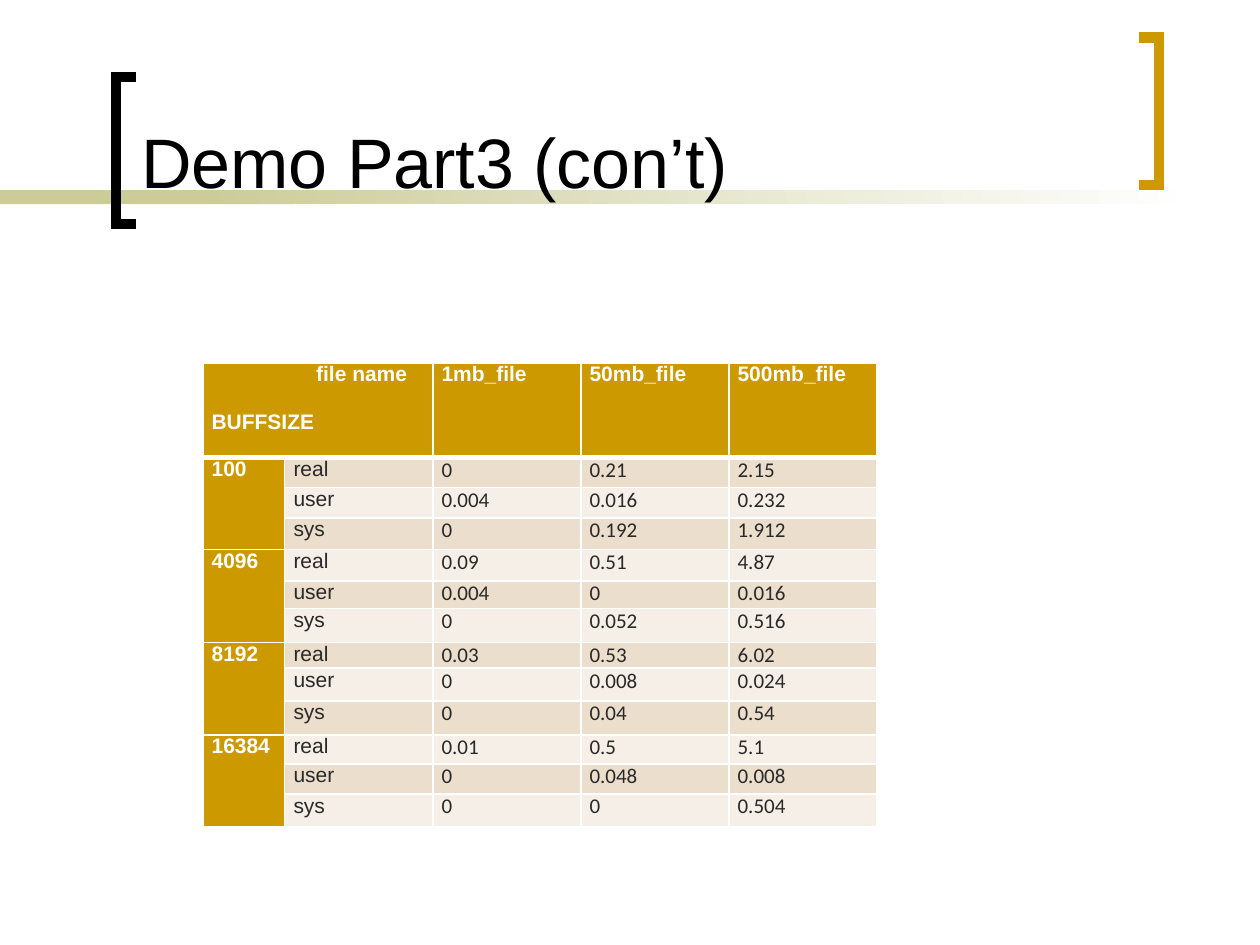
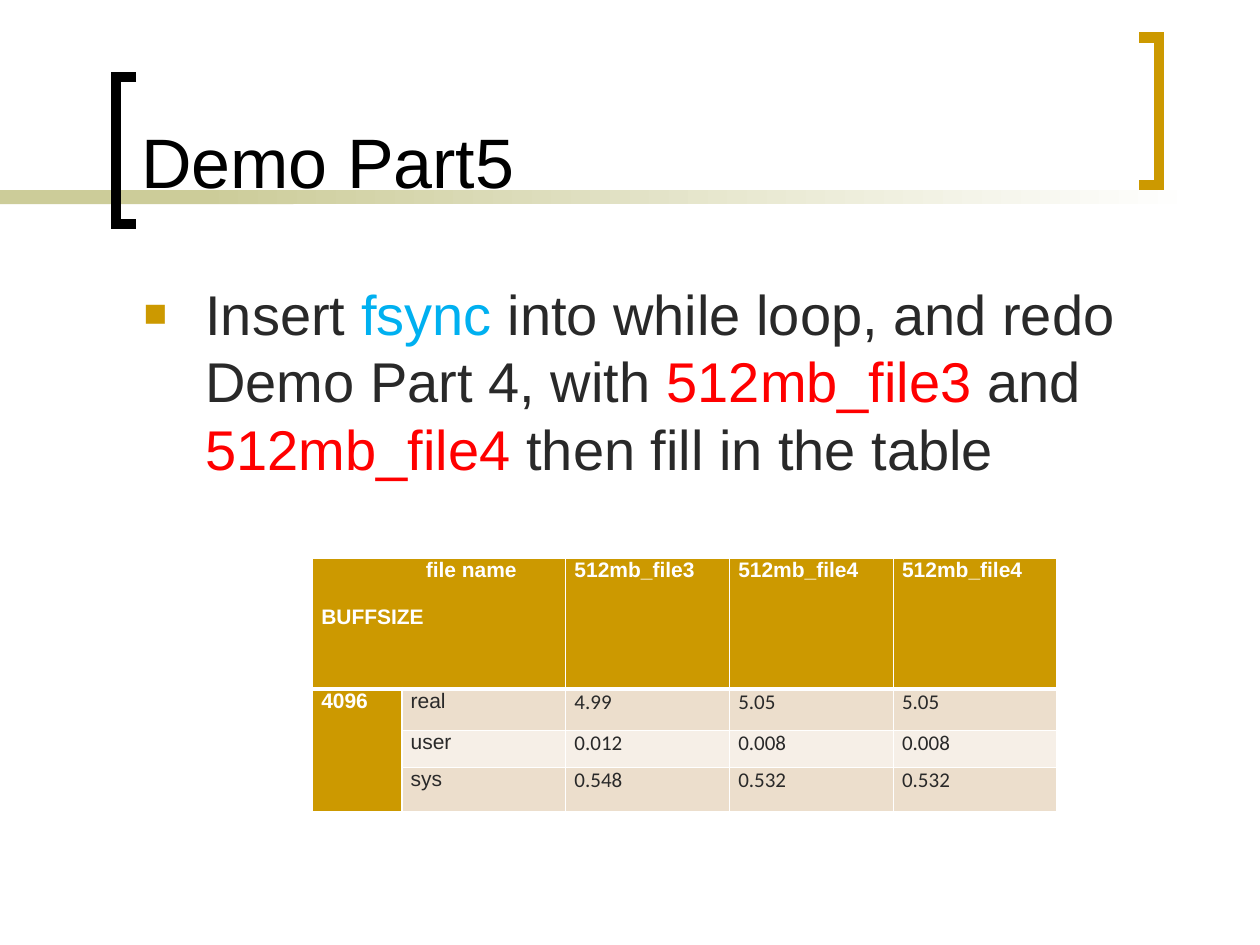
from lxml import etree
from pptx import Presentation
from pptx import util as u
from pptx.dml.color import RGBColor
from pptx.enum import shapes, text
from pptx.oxml.ns import qn

GOLD, SAGE, WHITE, BLACK = "CC9900", "CCCC99", "FFFFFF", "000000"
INK, BLUE, RED = "292929", "00B0F0", "FF0000"
ROW_TINTS = "ECDECC", "F6EFE7"
TIMES = "real", "user", "sys"

# Boxes are (left, top, width, height) on a grid of 100 columns by 75 rows.
COLUMNS, ROWS = 100, 75
TITLE_BOX = 10.2, 1.1, 78.3, 15.5
BODY_BOX = 10.4, 21.7, 83.8, 45
BAND_SOLID = 0, 15.1, 23.3, 1.1
BAND_FADE = 15.8, 15.1, 79.2, 1.1
LEFT_BRACKET = 9.2, 6.1, 1.6, 11.7
RIGHT_BRACKET = 90.4, 3, 1.6, 11.7


def grid(cells):
    return u.Inches(cells * 10 / COLUMNS)


def colour(hex_code):
    return RGBColor.from_string(hex_code)


def place(shape, box):
    shape.left, shape.top, shape.width, shape.height = map(grid, box)


def style(font, size, hex_code, name="Arial", bold=False):
    font.size, font.name, font.bold = u.Pt(size), name, bold
    font.color.rgb = colour(hex_code)


def add_band(slide, box):
    band = slide.shapes.add_shape(shapes.MSO_SHAPE.RECTANGLE, *map(grid, box))
    band.shadow.inherit = False
    band.line.fill.background()
    return band.fill


def add_bracket(slide, box, hex_code, opens_right):
    left, top, width, height = box
    spine, tips = (left, left + width) if opens_right else (left + width, left)
    points = [(tips, top), (spine, top), (spine, top + height), (tips, top + height)]
    start, *others = [(grid(x), grid(y)) for x, y in points]
    outline = slide.shapes.build_freeform(*start)
    outline.add_line_segments(others, close=False)
    bracket = outline.convert_to_shape()
    bracket.shadow.inherit = False
    bracket.fill.background()
    bracket.line.width = u.Pt(6)
    bracket.line.color.rgb = colour(hex_code)
    etree.SubElement(bracket.element.find(".//" + qn("a:ln")), qn("a:miter"), lim="800000")


def add_frame(slide):
    """Draw the band and brackets behind the slide's placeholders."""
    placeholders = list(slide.placeholders)
    solid = add_band(slide, BAND_SOLID)
    solid.solid()
    solid.fore_color.rgb = colour(SAGE)
    fade = add_band(slide, BAND_FADE)
    fade.gradient()
    fade.gradient_angle = 0
    for stop, hex_code in zip(fade.gradient_stops, (SAGE, WHITE)):
        stop.color.rgb = colour(hex_code)
    add_bracket(slide, LEFT_BRACKET, BLACK, opens_right=True)
    add_bracket(slide, RIGHT_BRACKET, GOLD, opens_right=False)
    for placeholder in placeholders:
        slide.shapes.element.append(placeholder.element)


def add_demo_slide(deck, layout, heading):
    slide = deck.slides.add_slide(deck.slide_layouts[layout])
    add_frame(slide)
    title = slide.shapes.title
    place(title, TITLE_BOX)
    title.text = heading
    frame = title.text_frame
    frame.vertical_anchor = text.MSO_ANCHOR.BOTTOM
    frame.auto_size = text.MSO_AUTO_SIZE.NONE
    frame.paragraphs[0].alignment = text.PP_ALIGN.LEFT
    style(frame.paragraphs[0].font, 40, BLACK)
    return slide


def fill_task(body, pieces):
    """Write one square-bulleted paragraph from (wording, colour) pieces."""
    place(body, BODY_BOX)
    body.text_frame.auto_size = text.MSO_AUTO_SIZE.NONE
    task = body.text_frame.paragraphs[0]
    for wording, hex_code in pieces:
        run = task.add_run()
        run.text = wording
        style(run.font, 32, hex_code)
    properties = task._p.get_or_add_pPr()
    properties.set("marL", str(grid(4.9)))
    properties.set("indent", str(-grid(4.9)))
    bullet_colour = etree.SubElement(properties, qn("a:buClr"))
    etree.SubElement(bullet_colour, qn("a:srgbClr"), val=GOLD)
    etree.SubElement(properties, qn("a:buSzPct"), val="70000")
    etree.SubElement(properties, qn("a:buFont"), typeface="Arial")
    etree.SubElement(properties, qn("a:buChar"), char="■")


def set_borders(cell, top=1, bottom=1):
    properties = cell._tc.get_or_add_tcPr()
    for side, points in zip("LRTB", (1, 1, top, bottom)):
        edge = etree.SubElement(properties, qn(f"a:ln{side}"), w=str(u.Pt(points)))
        paint = etree.SubElement(edge, qn("a:solidFill"))
        etree.SubElement(paint, qn("a:srgbClr"), val=WHITE)


def write_cell(cell, wording, hex_code=WHITE, name="Arial", bold=True):
    cell.margin_left = cell.margin_right = grid(0.7)
    cell.margin_top = cell.margin_bottom = 0
    cell.text = wording
    for paragraph in cell.text_frame.paragraphs:
        style(paragraph.font, 12, hex_code, name, bold)


def add_timing_table(slide, box, label_width, heights, files, timings):
    """Tabulate timings, a dict of buffer size to real, user and sys rows."""
    width = box[2]
    table = slide.shapes.add_table(len(heights), len(files) + 2, *map(grid, box)).table
    table.first_row = table.horz_banding = False
    for column in table.columns:
        column.width = grid((width - label_width) / (len(files) + 1))
    table.columns[0].width = grid(label_width)
    for row, height in zip(table.rows, heights):
        row.height = grid(height)

    for r in range(len(heights)):
        for c in range(len(files) + 2):
            cell = table.cell(r, c)
            set_borders(cell, top=3 if r == 1 else 1, bottom=3 if r == 0 else 1)
            cell.fill.solid()
            heading = r == 0 or c == 0
            cell.fill.fore_color.rgb = colour(GOLD if heading else ROW_TINTS[(r - 1) % 2])

    corner = table.cell(0, 0)
    corner.merge(table.cell(0, 1))
    write_cell(corner, "file name\nBUFFSIZE")
    file_name, buffer_size = corner.text_frame.paragraphs
    file_name._p.get_or_add_pPr().set("marL", str(grid(8.3)))
    buffer_size.space_before = u.Pt(13.5)
    for c, file in enumerate(files, 2):
        write_cell(table.cell(0, c), file)

    for group, (size, measured) in enumerate(timings.items()):
        first = 1 + group * len(TIMES)
        table.cell(first, 0).merge(table.cell(first + len(TIMES) - 1, 0))
        write_cell(table.cell(first, 0), size)
        for r, (kind, values) in enumerate(zip(TIMES, measured), first):
            write_cell(table.cell(r, 1), kind, INK, bold=False)
            for c, value in enumerate(values.split(), 2):
                write_cell(table.cell(r, c), value, INK, "Calibri", bold=False)


def build_part3(deck):
    slide = add_demo_slide(deck, 5, "Demo Part3 (con’t)")
    add_timing_table(
        slide, (16.1, 28.8, 53.5, 36.9), 6.5,
        [7.5, 2.4, 2.4, 2.5, 2.5, 2.2, 2.7, 2.04, 2.6, 2.7, 2.3, 2.4, 2.6],
        ["1mb_file", "50mb_file", "500mb_file"],
        {
            "100": ["0 0.21 2.15", "0.004 0.016 0.232", "0 0.192 1.912"],
            "4096": ["0.09 0.51 4.87", "0.004 0 0.016", "0 0.052 0.516"],
            "8192": ["0.03 0.53 6.02", "0 0.008 0.024", "0 0.04 0.54"],
            "16384": ["0.01 0.5 5.1", "0 0.048 0.008", "0 0 0.504"],
        })


def build_part5(deck):
    slide = add_demo_slide(deck, 1, "Demo Part5")
    fill_task(slide.placeholders[1], [
        ("Insert ", INK), ("fsync ", BLUE),
        ("into while loop, and redo Demo Part 4, with ", INK),
        ("512mb_file3", RED), (" and ", INK), ("512mb_file4", RED),
        (" then fill in the table", INK),
    ])
    add_timing_table(
        slide, (24.8, 44.3, 59.1, 20), 7.1, [10.4, 3.3, 2.9, 3.5],
        ["512mb_file3", "512mb_file4", "512mb_file4"],
        {"4096": ["4.99 5.05 5.05", "0.012 0.008 0.008", "0.548 0.532 0.532"]})


def main():
    deck = Presentation()
    deck.slide_width, deck.slide_height = grid(COLUMNS), grid(ROWS)
    build_part3(deck)
    build_part5(deck)
    deck.save("out.pptx")


if __name__ == "__main__":
    main()
